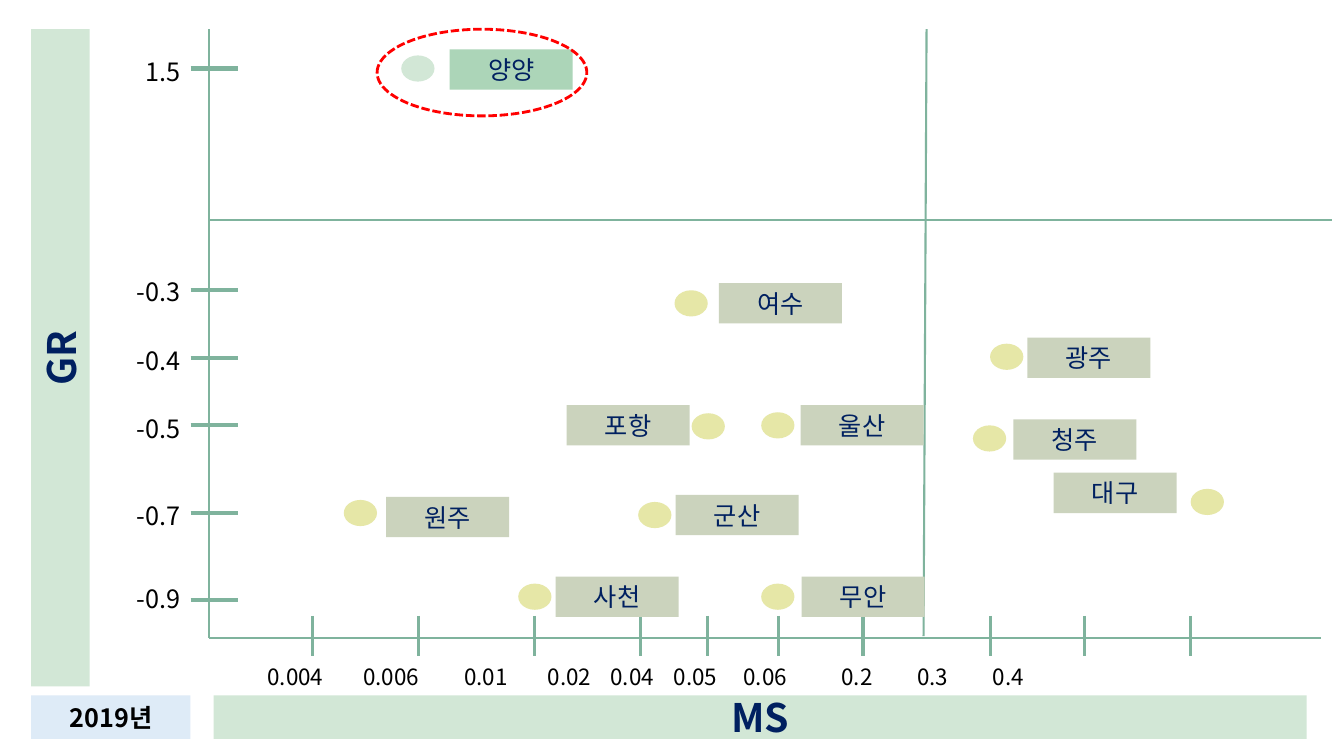
from lxml.etree import SubElement
from pptx import Presentation
from pptx.dml.color import RGBColor
from pptx.enum.dml import MSO_LINE
from pptx.enum.shapes import MSO_CONNECTOR, MSO_SHAPE
from pptx.enum.text import MSO_ANCHOR, PP_ALIGN
from pptx.oxml.ns import qn
from pptx.util import Inches, Pt

FONT = "Noto Sans CJK KR"
NAVY, BLACK, RED = "002060", "000000", "FF0000"
AXIS, BAND, YEAR_FILL = "7FB39D", "D2E7D6", "DEEBF7"
DOT, CITY = "E6E7A7", "CBD3BD"
HIGHLIGHT_DOT, HIGHLIGHT_CITY = "D2E7D6", "ACD5B8"

# Tick and label offsets from the plot's left or top edge
GR_TICKS = [("1.5", 0.39, 0.42), ("-0.3", 2.59, 2.6), ("-0.4", 3.26, 3.29),
            ("-0.5", 3.93, 3.96), ("-0.7", 4.8, 4.82), ("-0.9", 5.66, 5.65)]
MS_TICKS = [("0.004", 1.03, 0.86), ("0.006", 2.08, 1.81), ("0.01", 3.23, 2.75),
            ("0.02", 4.28, 3.58), ("0.04", 4.95, 4.2), ("0.05", 5.65, 4.83),
            ("0.06", 6.49, 5.52), ("0.2", 7.75, 6.43), ("0.3", 8.69, 7.18),
            ("0.4", 9.74, 7.93)]

# City: dot left and top, name left and top
CITIES = [("대구", 9.74, 4.56, 8.38, 4.4), ("광주", 7.75, 3.12, 8.12, 3.06),
          ("무안", 5.48, 5.5, 5.88, 5.43), ("청주", 7.58, 3.93, 7.98, 3.87),
          ("양양", 1.91, 0.26, 2.39, 0.2), ("여수", 4.62, 2.59, 5.06, 2.52),
          ("울산", 5.48, 3.8, 5.87, 3.73), ("사천", 3.07, 5.5, 3.44, 5.43),
          ("포항", 4.79, 3.81, 3.55, 3.73), ("군산", 4.26, 4.69, 4.63, 4.62),
          ("원주", 1.34, 4.67, 1.76, 4.64)]
HIGHLIGHT = "양양"


def rgb(color):
    return RGBColor.from_string(color)


def write(shape, text, size, color, bold=False, align=PP_ALIGN.CENTER):
    frame = shape.text_frame
    frame.text = text
    frame.word_wrap = True
    frame.vertical_anchor = MSO_ANCHOR.MIDDLE
    frame.margin_left = frame.margin_right = 0
    frame.margin_top = frame.margin_bottom = 0
    paragraph = frame.paragraphs[0]
    paragraph.alignment = align
    for run in paragraph.runs:
        run.font.name = FONT
        run.font.size = Pt(size)
        run.font.bold = bold
        run.font.color.rgb = rgb(color)
        SubElement(run.font._element, qn("a:ea"), typeface=FONT)


def add_filled(slide, kind, box, fill):
    shape = slide.shapes.add_shape(kind, *map(Inches, box))
    shape.shadow.inherit = False
    shape.fill.solid()
    shape.fill.fore_color.rgb = rgb(fill)
    shape.line.fill.background()
    return shape


def add_label(slide, box, text, size, align):
    label = slide.shapes.add_textbox(*map(Inches, box))
    write(label, text, size, BLACK, align=align)


def add_line(slide, x1, y1, x2, y2, width):
    line = slide.shapes.add_connector(
        MSO_CONNECTOR.STRAIGHT, *map(Inches, (x1, y1, x2, y2)))
    line.line.color.rgb = rgb(AXIS)
    line.line.width = Pt(width)
    SubElement(line._element.spPr, qn("a:effectLst"))


def add_band(slide, box, text, size, fill, color, upright=False):
    left, top, width, height = box
    if upright:
        # Turned about its centre, so width and height swap
        box = (left + (width - height) / 2, top + (height - width) / 2,
               height, width)
    band = add_filled(slide, MSO_SHAPE.RECTANGLE, box, fill)
    band.rotation = 270 if upright else 0
    write(band, text, size, color, bold=True)


def add_axes(slide, box):
    left, top, width, height = box
    bottom = top + height
    # Axes and quadrant dividers
    add_line(slide, left, top, left, bottom, 1.5)
    add_line(slide, left, bottom, left + width, bottom, 1.5)
    add_line(slide, left, top + 1.89, left + 11.14, top + 1.89, 1.5)
    add_line(slide, left + 7.12, top, left + 7.09, bottom - 0.02, 1.5)
    # GR ticks
    for text, tick, middle in GR_TICKS:
        add_line(slide, left - 0.18, top + tick, left + 0.29, top + tick, 3)
        add_label(slide, (left - 1.28, top + middle - 0.18, 1, 0.36),
                  text, 18, PP_ALIGN.RIGHT)
    # MS ticks
    for text, tick, middle in MS_TICKS:
        add_line(slide, left + tick, bottom - 0.22,
                 left + tick, bottom + 0.18, 2.25)
        add_label(slide, (left + middle - 0.35, bottom + 0.2, 0.7, 0.36),
                  text, 16, PP_ALIGN.CENTER)


def add_cities(slide, box):
    left, top = box[:2]
    for city, dot_x, dot_y, name_x, name_y in CITIES:
        chosen = city == HIGHLIGHT
        add_filled(slide, MSO_SHAPE.OVAL,
                   (left + dot_x, top + dot_y, 0.33, 0.26),
                   HIGHLIGHT_DOT if chosen else DOT)
        name = add_filled(slide, MSO_SHAPE.RECTANGLE,
                          (left + name_x, top + name_y, 1.22, 0.4),
                          HIGHLIGHT_CITY if chosen else CITY)
        write(name, city, 18, NAVY)
    # Dashed ring round the highlighted city
    ring = slide.shapes.add_shape(
        MSO_SHAPE.OVAL, *map(Inches, (left + 1.67, top, 2.08, 0.86)))
    ring.shadow.inherit = False
    ring.fill.background()
    ring.line.color.rgb = rgb(RED)
    ring.line.width = Pt(2)
    ring.line.dash_style = MSO_LINE.SQUARE_DOT


prs = Presentation()
prs.slide_width, prs.slide_height = Inches(13.33), Inches(7.5)
slide = prs.slides.add_slide(prs.slide_layouts[6])
plot = (2.07, 0.29, 11.03, 6.04)

add_band(slide, (0.31, 0.29, 0.58, 6.52), "GR", 28, BAND, NAVY, upright=True)
add_band(slide, (2.12, 6.9, 10.84, 0.43), "MS", 28, BAND, NAVY)
add_band(slide, (0.31, 6.9, 1.58, 0.43), "2019년", 18, YEAR_FILL, BLACK)
add_axes(slide, plot)
add_cities(slide, plot)

prs.save("out.pptx")
